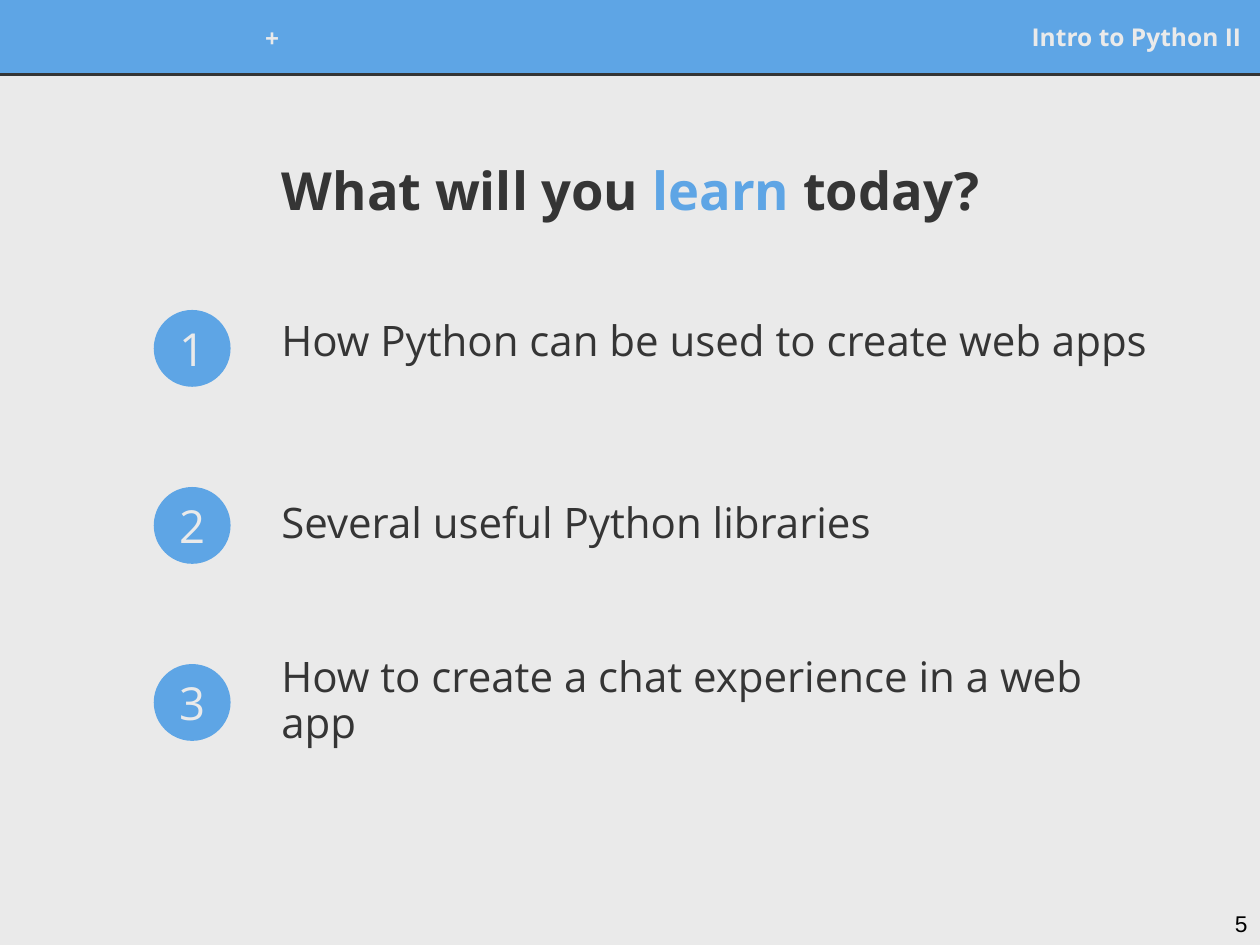
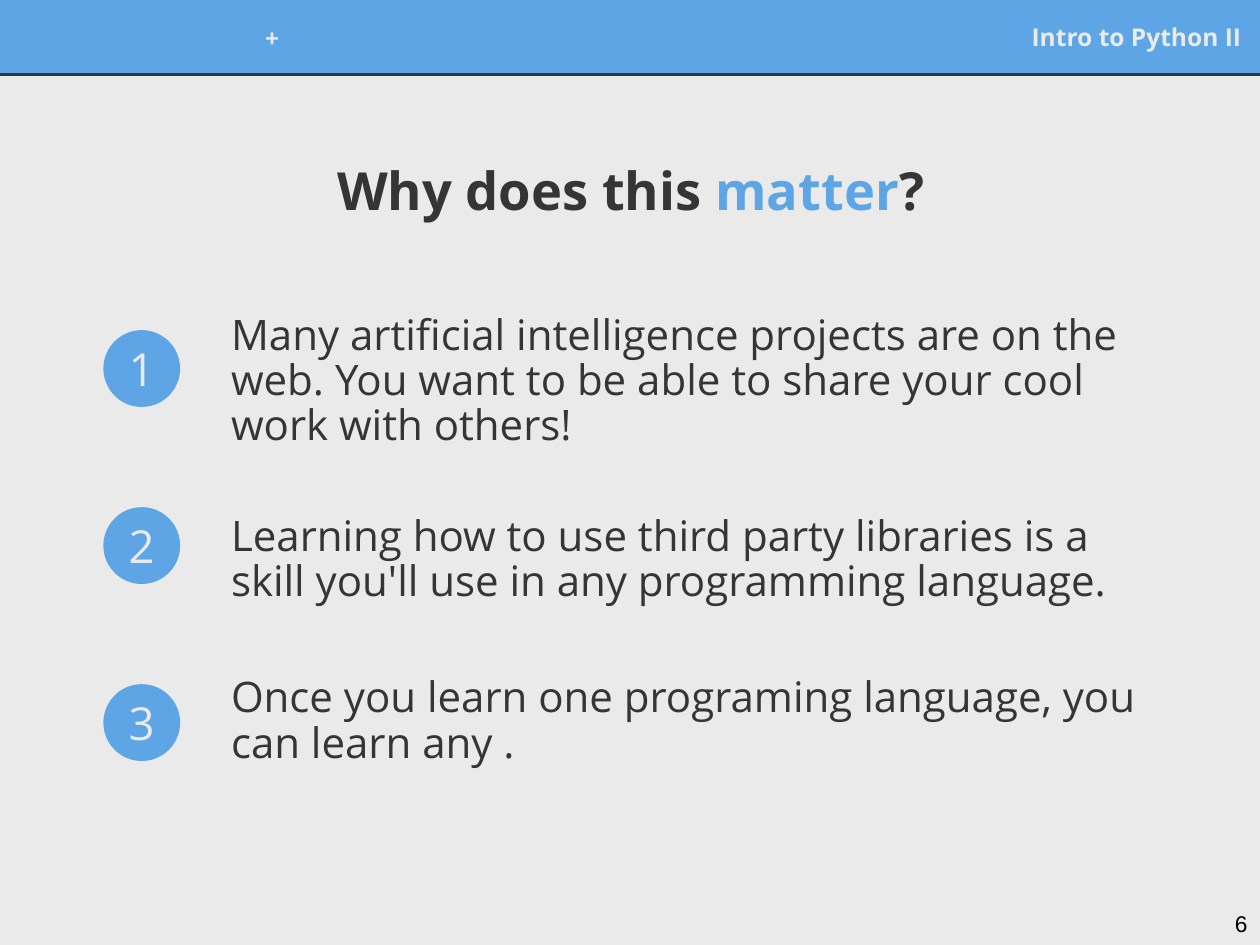
from dataclasses import dataclass

from lxml import etree
from pptx import Presentation
from pptx import util as u
from pptx.dml import color
from pptx.enum import shapes, text

COLUMNS, ROWS = 100, 75
BLANK_LAYOUT = 6
DRAWING_NS = "http://schemas.openxmlformats.org/drawingml/2006/main"


@dataclass(frozen=True)
class Theme:
    blue: str = "5EA5E5"
    dark: str = "353535"
    pale: str = "EAEAEA"
    black: str = "000000"
    main_font: str = "Open Sans"
    number_font: str = "Arial"
    title_size: int = 30
    badge_size: int = 26
    body_size: int = 24
    header_size: int = 14
    number_size: int = 13
    body_spacing: float = 0.9


def apply(target, values):
    for name, value in values.items():
        setattr(target, name, value)


class Deck:
    """Holds the theme and the current slide; places are (column, row, columns, rows)."""

    def __init__(self, theme):
        self.theme = theme
        self.deck = Presentation()
        apply(self.deck, {"slide_width": u.Inches(10), "slide_height": u.Inches(7.5)})
        self.cell_width = self.deck.slide_width / COLUMNS
        self.cell_height = self.deck.slide_height / ROWS
        self.slide = None

    def place(self, column, row, columns, rows):
        return (round(column * self.cell_width), round(row * self.cell_height),
                round(columns * self.cell_width), round(rows * self.cell_height))

    def paint(self, fill, shade):
        fill.solid()
        fill.fore_color.rgb = color.RGBColor.from_string(shade)

    def set_text(self, frame, runs, size, font=None, bold=False,
                 align=text.PP_ALIGN.LEFT, anchor=text.MSO_ANCHOR.MIDDLE, spacing=None):
        """Fill a frame with one paragraph of (wording, colour) runs."""
        inset = u.Inches(0.1)
        apply(frame, {"word_wrap": True, "vertical_anchor": anchor,
                      "margin_left": inset, "margin_right": inset,
                      "margin_top": inset, "margin_bottom": inset})
        paragraph = frame.paragraphs[0]
        apply(paragraph, {"alignment": align, "line_spacing": spacing})
        for wording, shade in runs:
            run = paragraph.add_run()
            run.text = wording
            apply(run.font, {"name": font or self.theme.main_font,
                             "size": u.Pt(size), "bold": bold})
            run.font.color.rgb = color.RGBColor.from_string(shade)

    def label(self, place, runs, size, **style):
        box = self.slide.shapes.add_textbox(*self.place(*place))
        self.set_text(box.text_frame, runs, size, **style)

    def filled(self, kind, place):
        shape = self.slide.shapes.add_shape(kind, *self.place(*place))
        shape.shadow.inherit = False
        self.paint(shape.fill, self.theme.blue)
        return shape

    def rule(self, row):
        left, top, width, _ = self.place(0, row, COLUMNS, 0)
        line = self.slide.shapes.add_connector(
            shapes.MSO_CONNECTOR.STRAIGHT, left, top, left + width, top)
        self.paint(line.line.fill, self.theme.dark)
        line.line.width = u.Pt(1.5)
        etree.SubElement(line._element.spPr, f"{{{DRAWING_NS}}}effectLst")

    def header(self):
        band_rows = 5.9
        band = self.filled(shapes.MSO_SHAPE.RECTANGLE, (0, 0, COLUMNS, band_rows))
        self.paint(band.line.fill, self.theme.blue)
        band.line.width = u.Pt(0.75)
        self.rule(band_rows)
        for wording, place, align in (
                ("Intro to Python II", (62.4, 1, 37.1, 3.8), text.PP_ALIGN.RIGHT),
                ("+", (18.6, 1.1, 6, 3.8), text.PP_ALIGN.CENTER)):
            self.label(place, [(wording, self.theme.pale)], self.theme.header_size,
                       bold=True, align=align)

    def page_number(self, number):
        self.label((94, 71.2, 6, 3.8), [(str(number), self.theme.black)],
                   self.theme.number_size, font=self.theme.number_font,
                   align=text.PP_ALIGN.RIGHT, anchor=text.MSO_ANCHOR.TOP)

    def title(self, before, keyword, after):
        dark, blue = self.theme.dark, self.theme.blue
        self.label((1.8, 9.4, 96.5, 11.2), [(before, dark), (keyword, blue), (after, dark)],
                   self.theme.title_size, bold=True, align=text.PP_ALIGN.CENTER)

    def badge(self, column, row, number):
        circle = self.filled(shapes.MSO_SHAPE.OVAL, (column, row, 6.1, 6.1))
        circle.line.fill.background()
        self.set_text(circle.text_frame, [(str(number), self.theme.pale)],
                      self.theme.badge_size, align=text.PP_ALIGN.CENTER)

    def numbered_points(self, column, first_row, points):
        """Stack circled numbers at an equal pitch, each with its point beside it."""
        pitch, text_offset = 14.05, 9.15
        rows = [first_row + pitch * index for index in range(len(points))]
        for number, row in enumerate(rows, 1):
            self.badge(column, row, number)
        for index, (row, (wording, columns, height)) in enumerate(zip(rows, points)):
            rise = 1.1 if index else 1.5
            self.label((column + text_offset, row - rise, columns, height),
                       [(wording, self.theme.dark)], self.theme.body_size,
                       spacing=self.theme.body_spacing)

    def add_slide(self, number, title, column, first_row, points):
        self.slide = self.deck.slides.add_slide(self.deck.slide_layouts[BLANK_LAYOUT])
        self.paint(self.slide.background.fill, self.theme.pale)
        self.header()
        self.page_number(number)
        self.title(*title)
        self.numbered_points(column, first_row, points)


def main():
    lesson = Deck(Theme())

    # Goals of the lesson: wording, columns and rows of each point
    lesson.add_slide(5, ("What will you ", "learn", " today?"), 12.2, 24.6, [
        ("How Python can be used to create web apps", 72, 8.2),
        ("Several useful Python libraries", 66.4, 8.2),
        ("How to create a chat experience in a web app", 66.4, 8.2),
    ])

    # Reasons for the lesson
    lesson.add_slide(6, ("Why does this ", "matter", "?"), 8.2, 26.2, [
        ("Many artificial intelligence projects are on the web. "
         "You want to be able to share your cool work with others!", 74.5, 11.2),
        ("Learning how to use third party libraries is a skill "
         "you'll use in any programming language.", 74.5, 10.7),
        ("Once you learn one programing language, you can learn any .", 74.5, 8.2),
    ])

    lesson.deck.save("out.pptx")


if __name__ == "__main__":
    main()
